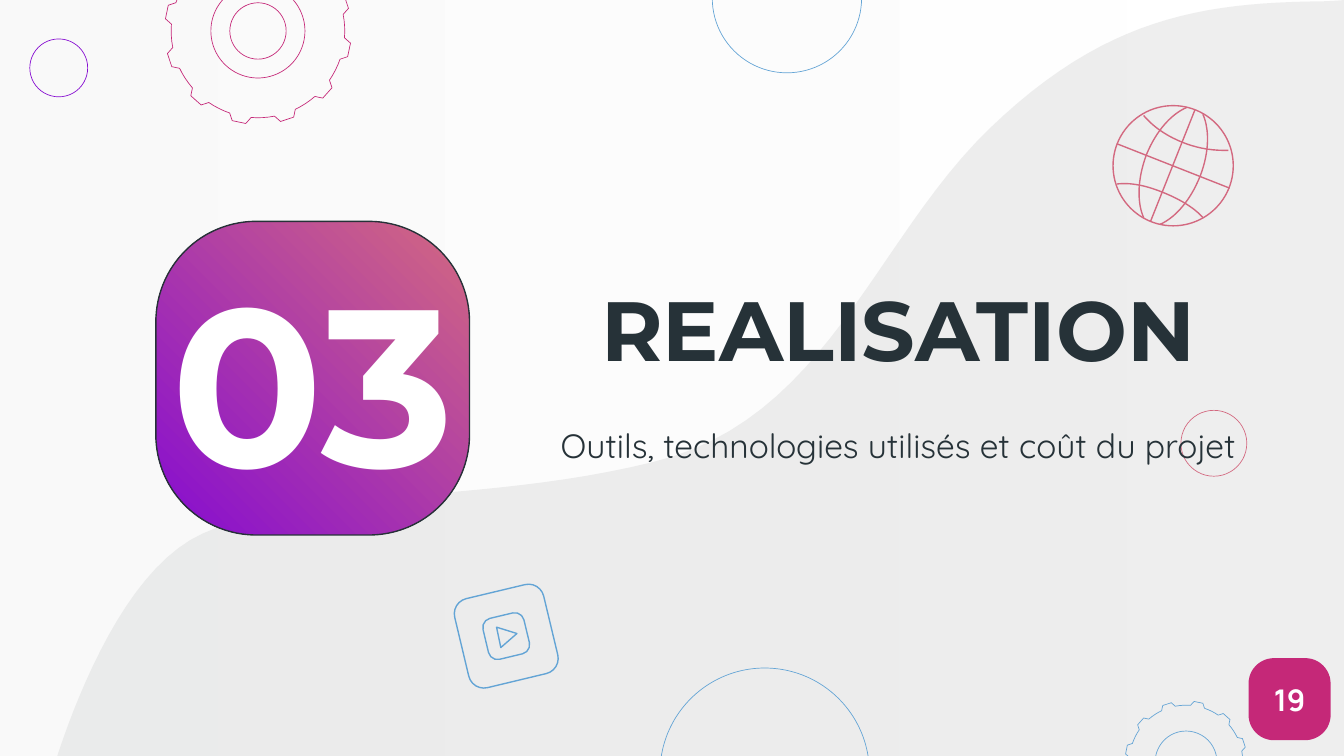
from math import cos, radians, sin
from lxml.etree import SubElement
from pptx import Presentation
from pptx.dml.color import RGBColor
from pptx.enum.shapes import MSO_CONNECTOR, MSO_SHAPE
from pptx.enum.text import MSO_ANCHOR, PP_ALIGN
from pptx.oxml.ns import qn
from pptx.util import Pt

PINK, ROSE, BLUE = "C52878", "D36980", "63A4D5"
VIOLET, INK, WHITE = "860CD1", "263238", "FFFFFF"

deck = Presentation()
deck.slide_width, deck.slide_height = Pt(720), Pt(405)
slide = deck.slides.add_slide(deck.slide_layouts[6])
shapes = slide.shapes


def paint(shape, fills=(), line=None, width=0.36, angle=0, alpha=None):
    shape.shadow.inherit = False
    if len(fills) == 2:
        shape.fill.gradient()
        shape.fill.gradient_angle = angle
        for stop, color in zip(shape.fill.gradient_stops, fills):
            stop.color.rgb = RGBColor.from_string(color)
    elif fills:
        shape.fill.solid()
        shape.fill.fore_color.rgb = RGBColor.from_string(fills[0])
    else:
        shape.fill.background()
    if alpha:
        for node in shape._element.spPr.iter(qn("a:srgbClr")):
            SubElement(node, qn("a:alpha")).set("val", str(alpha * 1000))
    if line:
        shape.line.color.rgb = RGBColor.from_string(line)
        shape.line.width = Pt(width)
    else:
        shape.line.fill.background()


def trace(start, steps, close=True):
    spots = [start]
    for step in steps:
        if len(step) == 2:
            spots.append(step)
            continue
        ends = [spots[-1], step[:2], step[2:4], step[4:]]
        for i in range(1, 25):
            t = i / 24
            parts = ((1 - t) ** 3, 3 * t * (1 - t) ** 2, 3 * t * t * (1 - t), t ** 3)
            spots.append(tuple(sum(p * e[k] for p, e in zip(parts, ends)) for k in (0, 1)))
    grid = [(100 * x, 100 * y) for x, y in spots]
    pen = shapes.build_freeform(*grid[0], scale=Pt(1) / 100)
    pen.add_line_segments(grid[1:], close=close)
    return pen.convert_to_shape()


back = shapes.add_shape(MSO_SHAPE.RECTANGLE, Pt(-5), Pt(-5), Pt(730), Pt(415))
paint(back, (WHITE, "F3F3F3"), angle=180, alpha=41)

wave = trace((769.7, -13.7), [
    (748.8, 463), (23, 430.6),
    (25.2, 423.4, 54, 310.3, 108.7, 285.8),
    (164.9, 260.6, 254.9, 270.7, 349.2, 247.7),
    (442.8, 225.4, 468, 128.9, 529.9, 69.1),
    (591.8, 9.4, 643.7, 1.4, 708.5, 0.7),
    (735.8, 0, 754.6, -6.5, 769.7, -13.7),
])
paint(wave, ("D6D7D7",), alpha=41)

for x, y, size, color in [
    (138.2, 16.6, 50.4, PINK), (138.2, 16.6, 30.2, PINK), (635.4, 408.2, 33.1, BLUE),
    (31.5, 36.4, 31, VIOLET), (650.3, 237.5, 35.3, ROSE),
    (421.6, -1, 80, BLUE), (409.7, 414, 112.2, BLUE),
]:
    ring = shapes.add_shape(MSO_SHAPE.OVAL, Pt(x - size / 2), Pt(y - size / 2), Pt(size), Pt(size))
    paint(ring, line=color)

for x, y, size, color in [(635.4, 408.2, 32.7, BLUE), (138.2, 16.6, 50, PINK)]:
    rim = []
    for tooth in range(12):
        for turn, part in [(4.5, 0.93), (7.5, 1), (16, 1), (19, 0.93),
                           (23, 0.93), (27, 0.93), (31, 0.93)]:
            a = radians(30 * tooth + turn)
            rim.append((x + size * part * cos(a), y + size * part * sin(a)))
    paint(trace(rim[0], rim[1:]), line=color)

badge = shapes.add_shape(MSO_SHAPE.ROUNDED_RECTANGLE, Pt(83.5), Pt(118.6), Pt(168), Pt(168))
badge.adjustments[0] = 0.32
paint(badge, (ROSE, VIOLET), INK, 0.75, 225)

tile = shapes.add_shape(MSO_SHAPE.ROUNDED_RECTANGLE, Pt(668.9), Pt(352.6), Pt(44), Pt(44))
tile.adjustments[0] = 0.31
paint(tile, (PINK,))

for words, x, y, wide, high, size, font, color, bold in [
    ("REALISATION", 285, 142.6, 392.4, 66.2, 45, "Montserrat", INK, True),
    ("03", 69, 154.8, 197.3, 95.8, 120, "Montserrat", WHITE, True),
    ("Outils, technologies utilisés et coût du projet",
     285, 213.8, 392.4, 49, 18, "Quicksand", INK, False),
    ("19", 668.9, 352.6, 44, 44, 16, "Manrope", WHITE, True),
]:
    if words == "19":
        frame, pad = tile.text_frame, 0
    else:
        frame, pad = shapes.add_textbox(Pt(x), Pt(y), Pt(wide), Pt(high)).text_frame, 7.2
    frame.word_wrap = True
    frame.vertical_anchor = MSO_ANCHOR.MIDDLE
    frame.margin_left = frame.margin_right = Pt(pad)
    frame.margin_top = frame.margin_bottom = Pt(pad)
    para = frame.paragraphs[0]
    para.text = words
    para.alignment = PP_ALIGN.CENTER
    para.font.size = Pt(size)
    para.font.name = font
    para.font.bold = bold
    para.font.color.rgb = RGBColor.from_string(color)

for size, curve in [(49, 0.17), (22.5, 0.22)]:
    box = shapes.add_shape(MSO_SHAPE.ROUNDED_RECTANGLE,
                           Pt(271.2 - size / 2), Pt(340.8 - size / 2), Pt(size), Pt(size))
    box.adjustments[0] = curve
    box.rotation = 346.5
    paint(box, line=BLUE, width=0.75)
paint(trace((266, 336), [(268.3, 346.9), (276.9, 339.4)]), line=BLUE, width=0.75)

globe = shapes.add_shape(MSO_SHAPE.OVAL, Pt(596.3), Pt(56.6), Pt(64.4), Pt(64.4))
paint(globe, line=ROSE, width=0.75)
for ends in [(640.1, 59, 616.3, 118.8), (598.3, 77, 658.8, 100.8)]:
    axis = shapes.add_connector(MSO_CONNECTOR.STRAIGHT, *map(Pt, ends))
    axis.line.color.rgb = RGBColor.from_string(ROSE)
    axis.line.width = Pt(0.75)
    SubElement(axis._element.spPr, qn("a:effectLst"))
for start, *bends in [
    ((612.7, 116.6), (612.7, 116.6, 606.2, 104.4, 614.2, 82.8),
     (622.8, 61.9, 635.8, 57.6, 635.8, 57.6)),
    ((621.4, 120.2), (621.4, 120.2, 634.3, 115.9, 643, 94.3),
     (650.9, 73.4, 644.4, 61.2, 644.4, 61.2)),
    ((644.4, 116.6), (640.8, 112.3, 633.6, 107.3, 622.8, 103),
     (612, 98.6, 604.1, 97.9, 598.3, 98.6)),
    ((612.7, 61.9), (616.3, 66.2, 622.8, 72, 633.6, 76.3),
     (644.4, 80.6, 653, 80.6, 658.1, 80.6)),
]:
    paint(trace(start, bends, False), line=ROSE, width=0.75)

deck.save("out.pptx")
